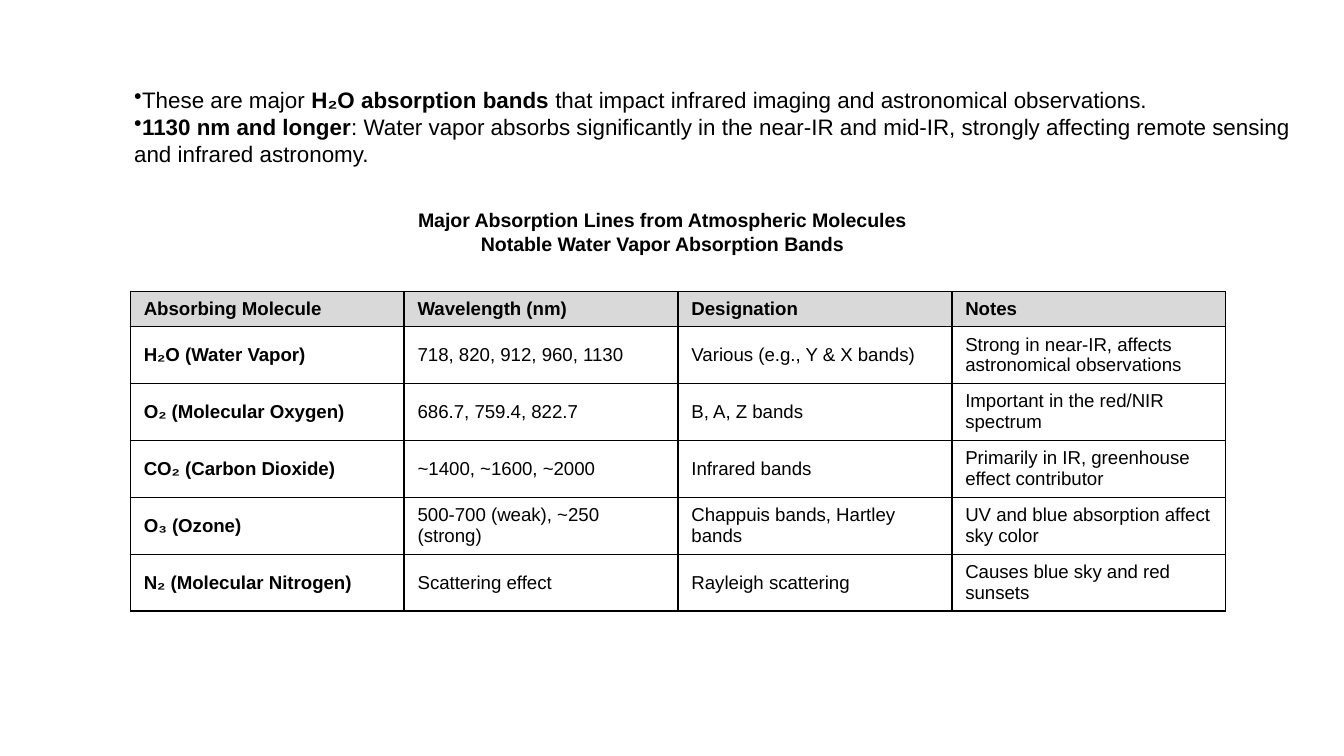
from dataclasses import dataclass
from typing import NamedTuple

from lxml.etree import SubElement
from pptx import Presentation
from pptx.dml.color import RGBColor
from pptx.enum.text import MSO_ANCHOR, PP_ALIGN
from pptx.oxml.ns import qn
from pptx.util import Inches, Pt


@dataclass(frozen=True)
class Theme:
    font: str = "Arial"
    ink: str = "000000"
    header_fill: str = "D9D9D9"
    bullet_size: float = 12
    heading_size: float = 10.5
    table_size: float = 10
    border_width: float = 1


class Span(NamedTuple):
    text: str
    bold: bool = False


class Box(NamedTuple):
    left: float
    top: float
    width: float
    height: float

    def lengths(self) -> list:
        return [Inches(value) for value in self]


class Absorber(NamedTuple):
    molecule: str
    wavelength: str
    designation: str
    notes: str


THEME = Theme()
SLIDE_WIDTH = 10
SLIDE_HEIGHT = SLIDE_WIDTH * 9 / 16
TABLE_BOX = Box(0.97, 2.17, 8.15, 2.38)
HEADING_BOX = Box(1.44, 1.5, 6.98, 0.45)
BULLETS_BOX = Box(0.9, 0.59, 8.83, 0.71)
HEADER_HEIGHT = 0.26

BULLETS = [
    [
        Span("These are major "),
        Span("H₂O absorption bands", True),
        Span(" that impact infrared imaging and astronomical observations."),
    ],
    [
        Span("1130 nm and longer", True),
        Span(": Water vapor absorbs significantly in the near-IR and mid-IR, "
             "strongly affecting remote sensing and infrared astronomy."),
    ],
]
HEADING = [
    [Span("Major Absorption Lines from Atmospheric Molecules", True)],
    [Span("Notable Water Vapor Absorption Bands", True)],
]
HEADER = Absorber("Absorbing Molecule", "Wavelength (nm)", "Designation", "Notes")
ABSORBERS = [
    Absorber("H₂O (Water Vapor)", "718, 820, 912, 960, 1130",
             "Various (e.g., Y & X bands)",
             "Strong in near-IR, affects astronomical observations"),
    Absorber("O₂ (Molecular Oxygen)", "686.7, 759.4, 822.7", "B, A, Z bands",
             "Important in the red/NIR spectrum"),
    Absorber("CO₂ (Carbon Dioxide)", "~1400, ~1600, ~2000", "Infrared bands",
             "Primarily in IR, greenhouse effect contributor"),
    Absorber("O₃ (Ozone)", "500-700 (weak), ~250 (strong)",
             "Chappuis bands, Hartley bands",
             "UV and blue absorption affect sky color"),
    Absorber("N₂ (Molecular Nitrogen)", "Scattering effect", "Rayleigh scattering",
             "Causes blue sky and red sunsets"),
]


def add_spans(paragraph, spans: list[Span], size: float) -> None:
    for span in spans:
        run = paragraph.add_run()
        run.text = span.text
        run.font.name = THEME.font
        run.font.size = Pt(size)
        run.font.bold = span.bold
        run.font.color.rgb = RGBColor.from_string(THEME.ink)


def add_bullet(paragraph) -> None:
    """Put a bullet directly before the text, with no hanging indent."""
    properties = paragraph._p.get_or_add_pPr()
    properties.set("marL", "0")
    properties.set("indent", "0")
    SubElement(properties, qn("a:buChar")).set("char", "•")


def add_text(slide, box: Box, lines: list[list[Span]], size: float,
             align: PP_ALIGN = PP_ALIGN.LEFT, anchor: MSO_ANCHOR = MSO_ANCHOR.TOP,
             bulleted: bool = False) -> None:
    frame = slide.shapes.add_textbox(*box.lengths()).text_frame
    frame.word_wrap = True
    frame.vertical_anchor = anchor
    for index, spans in enumerate(lines):
        paragraph = frame.add_paragraph() if index else frame.paragraphs[0]
        paragraph.alignment = align
        if bulleted:
            add_bullet(paragraph)
        add_spans(paragraph, spans, size)


def add_borders(cell) -> None:
    properties = cell._tc.get_or_add_tcPr()
    for position, side in enumerate(("lnL", "lnR", "lnT", "lnB")):
        line = SubElement(properties, qn(f"a:{side}"))
        line.set("w", str(Pt(THEME.border_width)))
        fill = SubElement(line, qn("a:solidFill"))
        SubElement(fill, qn("a:srgbClr")).set("val", THEME.ink)
        properties.insert(position, line)


def add_absorber_table(slide, box: Box, header: Absorber, absorbers: list[Absorber]) -> None:
    rows = [header, *absorbers]
    row_height = (box.height - HEADER_HEIGHT) / len(absorbers)
    table = slide.shapes.add_table(len(rows), len(header), *box.lengths()).table
    for column in table.columns:
        column.width = Inches(box.width / len(header))
    for row_index, absorber in enumerate(rows):
        is_header = row_index == 0
        table.rows[row_index].height = Inches(HEADER_HEIGHT if is_header else row_height)
        for column_index, text in enumerate(absorber):
            cell = table.cell(row_index, column_index)
            cell.vertical_anchor = MSO_ANCHOR.MIDDLE
            if is_header:
                cell.fill.solid()
                cell.fill.fore_color.rgb = RGBColor.from_string(THEME.header_fill)
            else:
                cell.fill.background()
            add_borders(cell)
            span = Span(text, is_header or column_index == 0)
            add_spans(cell.text_frame.paragraphs[0], [span], THEME.table_size)


def main() -> None:
    presentation = Presentation()
    presentation.slide_width = Inches(SLIDE_WIDTH)
    presentation.slide_height = Inches(SLIDE_HEIGHT)
    slide = presentation.slides.add_slide(presentation.slide_layouts[6])
    add_absorber_table(slide, TABLE_BOX, HEADER, ABSORBERS)
    add_text(slide, HEADING_BOX, HEADING, THEME.heading_size,
             align=PP_ALIGN.CENTER, anchor=MSO_ANCHOR.MIDDLE)
    add_text(slide, BULLETS_BOX, BULLETS, THEME.bullet_size, bulleted=True)
    presentation.save("out.pptx")


if __name__ == "__main__":
    main()
